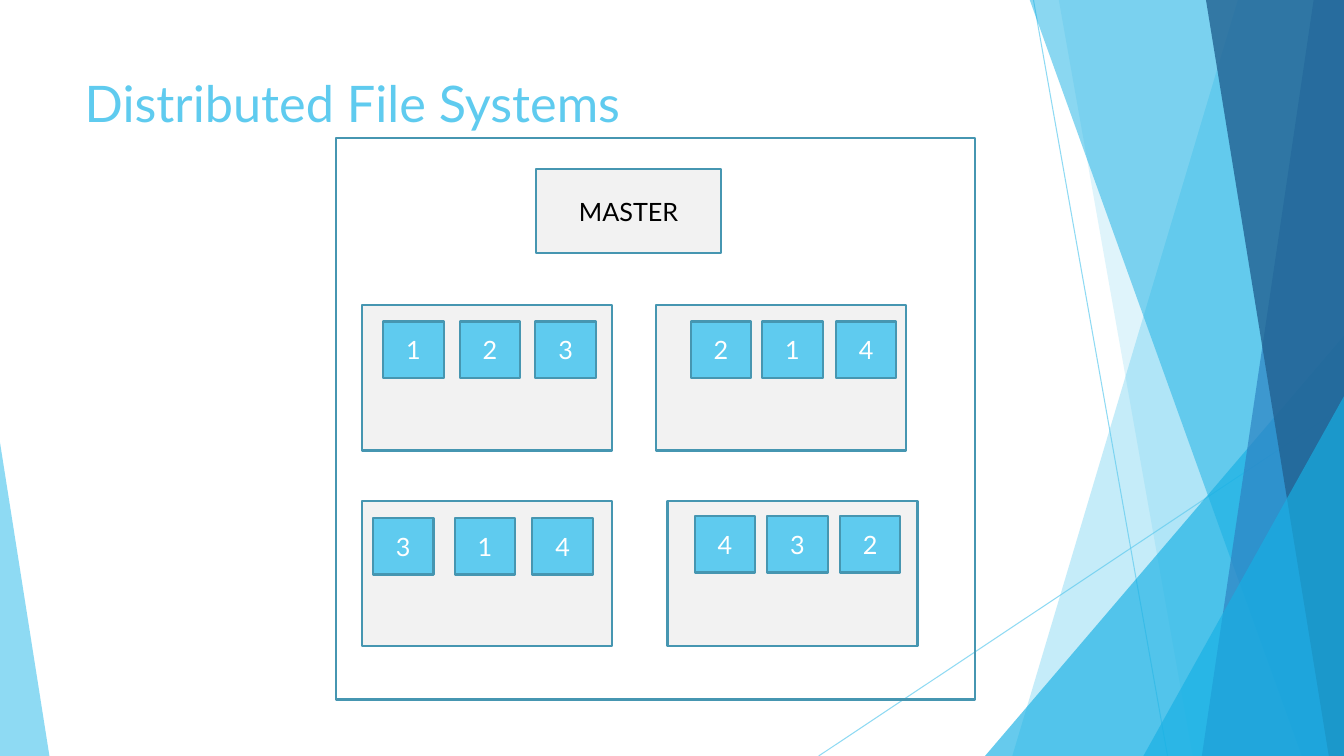
from pptx import Presentation
from pptx.dml.color import RGBColor
from pptx.enum import shapes, text
from pptx.oxml import ns, xmlchemy
from pptx.util import Inches, Pt

FONT = "Lato"
SKY, CYAN, BLUE, NAVY = "5FCBEF", "17B0E4", "2E83C3", "226292"
BORDER, GRAY, WHITE, BLACK = "4696B1", "F2F2F2", "FFFFFF", "000000"

WIDTH, HEIGHT = 13.33, 7.5
NODE_SIZE = (2.48, 1.44)
BLOCK_SIZE = (0.6, 0.56)

# Node position, top of its blocks, and (left, number) of each block
NODES = [
    ((3.59, 3.03), 3.19, [(3.8, "1"), (4.56, "2"), (5.31, "3")]),
    ((6.51, 3.03), 3.19, [(6.85, "2"), (7.56, "1"), (8.29, "4")]),
    ((3.59, 4.97), 5.14, [(3.7, "3"), (4.51, "1"), (5.28, "4")]),
    ((6.62, 4.97), 5.12, [(6.89, "4"), (7.61, "3"), (8.33, "2")]),
]


def rgb(color):
    return RGBColor.from_string(color)


def set_opacity(shape, percent):
    for color in shape._element.spPr.iter(ns.qn("a:srgbClr")):
        alpha = xmlchemy.OxmlElement("a:alpha")
        alpha.set("val", str(percent * 1000))
        color.append(alpha)


def format_text(paragraph, size, color):
    for run in paragraph.runs:
        run.font.name = FONT
        run.font.size = Pt(size)
        run.font.color.rgb = rgb(color)


def fill_glass(shape, color, opacity):
    """Give a decoration a translucent fill without outline or shadow."""
    shape.shadow.inherit = False
    shape.fill.solid()
    shape.fill.fore_color.rgb = rgb(color)
    shape.line.fill.background()
    set_opacity(shape, opacity)


def add_ray(slide, start, end):
    ray = slide.shapes.add_connector(
        shapes.MSO_CONNECTOR.STRAIGHT, *map(Inches, start + end))
    ray.line.color.rgb = rgb(SKY)
    ray.line.width = Pt(0.75)
    ray._element.spPr.append(xmlchemy.OxmlElement("a:effectLst"))
    set_opacity(ray, 70)


def add_band(slide, top_x, bottom_x, color, opacity):
    """Fill from a slanted left edge to the right side of the slide."""
    corners = [(top_x, -0.01), (WIDTH, -0.01), (WIDTH, HEIGHT), (bottom_x, HEIGHT)]
    points = [(Inches(x), Inches(y)) for x, y in corners]
    builder = slide.shapes.build_freeform(*points[0])
    builder.add_line_segments(points[1:], close=True)
    fill_glass(builder.convert_to_shape(), color, opacity)


def add_corner(slide, left, top, width, apex, color, opacity):
    """Add a triangle that stands on the bottom of the slide."""
    triangle = slide.shapes.add_shape(
        shapes.MSO_SHAPE.ISOSCELES_TRIANGLE,
        *map(Inches, (left, top, width, HEIGHT - top)))
    triangle.adjustments[0] = apex
    fill_glass(triangle, color, opacity)


def add_decoration(slide):
    add_ray(slide, (10.25, 0), (11.58, HEIGHT))
    add_ray(slide, (WIDTH, 4.03), (8.12, HEIGHT))
    add_band(slide, 12.28, 10.04, SKY, 36)
    add_band(slide, 10.5, 11.83, SKY, 20)
    add_corner(slide, 9.77, 3.33, 3.56, 1, CYAN, 66)
    add_band(slide, 10.21, 12.91, CYAN, 50)
    add_band(slide, 13.03, 11.92, BLUE, 70)
    add_band(slide, 11.96, 13.18, NAVY, 80)
    add_corner(slide, 11.34, 3.93, 1.99, 1, CYAN, 66)
    add_corner(slide, 0, 4.39, 0.49, 0, SKY, 70)


def add_title(slide, title_text):
    title = slide.shapes.title
    title.left, title.top, title.width, title.height = map(
        Inches, (0.74, 0.67, 9.4, 1.44))
    frame = title.text_frame
    frame.text = title_text
    frame.vertical_anchor = text.MSO_ANCHOR.TOP
    frame.paragraphs[0].alignment = text.PP_ALIGN.LEFT
    format_text(frame.paragraphs[0], 36, SKY)


def add_box(slide, position, size, fill=None, label="", color=WHITE):
    box = slide.shapes.add_shape(
        shapes.MSO_SHAPE.RECTANGLE, *map(Inches, position + size))
    box.shadow.inherit = False
    box.line.color.rgb = rgb(BORDER)
    box.line.width = Pt(1.5)
    if fill:
        box.fill.solid()
        box.fill.fore_color.rgb = rgb(fill)
    else:
        box.fill.background()
    if label:
        frame = box.text_frame
        frame.text = label
        frame.vertical_anchor = text.MSO_ANCHOR.MIDDLE
        frame.paragraphs[0].alignment = text.PP_ALIGN.CENTER
        format_text(frame.paragraphs[0], 18, color)


def add_node(slide, position, block_top, blocks):
    add_box(slide, position, NODE_SIZE, GRAY)
    for left, number in blocks:
        add_box(slide, (left, block_top), BLOCK_SIZE, SKY, number)


def main():
    presentation = Presentation()
    presentation.slide_width = Inches(WIDTH)
    presentation.slide_height = Inches(HEIGHT)
    slide = presentation.slides.add_slide(presentation.slide_layouts[5])
    add_decoration(slide)
    add_title(slide, "Distributed File Systems")
    add_box(slide, (3.33, 1.37), (6.34, 5.57))
    add_box(slide, (5.32, 1.68), (1.83, 0.83), GRAY, "MASTER", BLACK)
    for position, block_top, blocks in NODES:
        add_node(slide, position, block_top, blocks)
    presentation.save("out.pptx")


if __name__ == "__main__":
    main()
